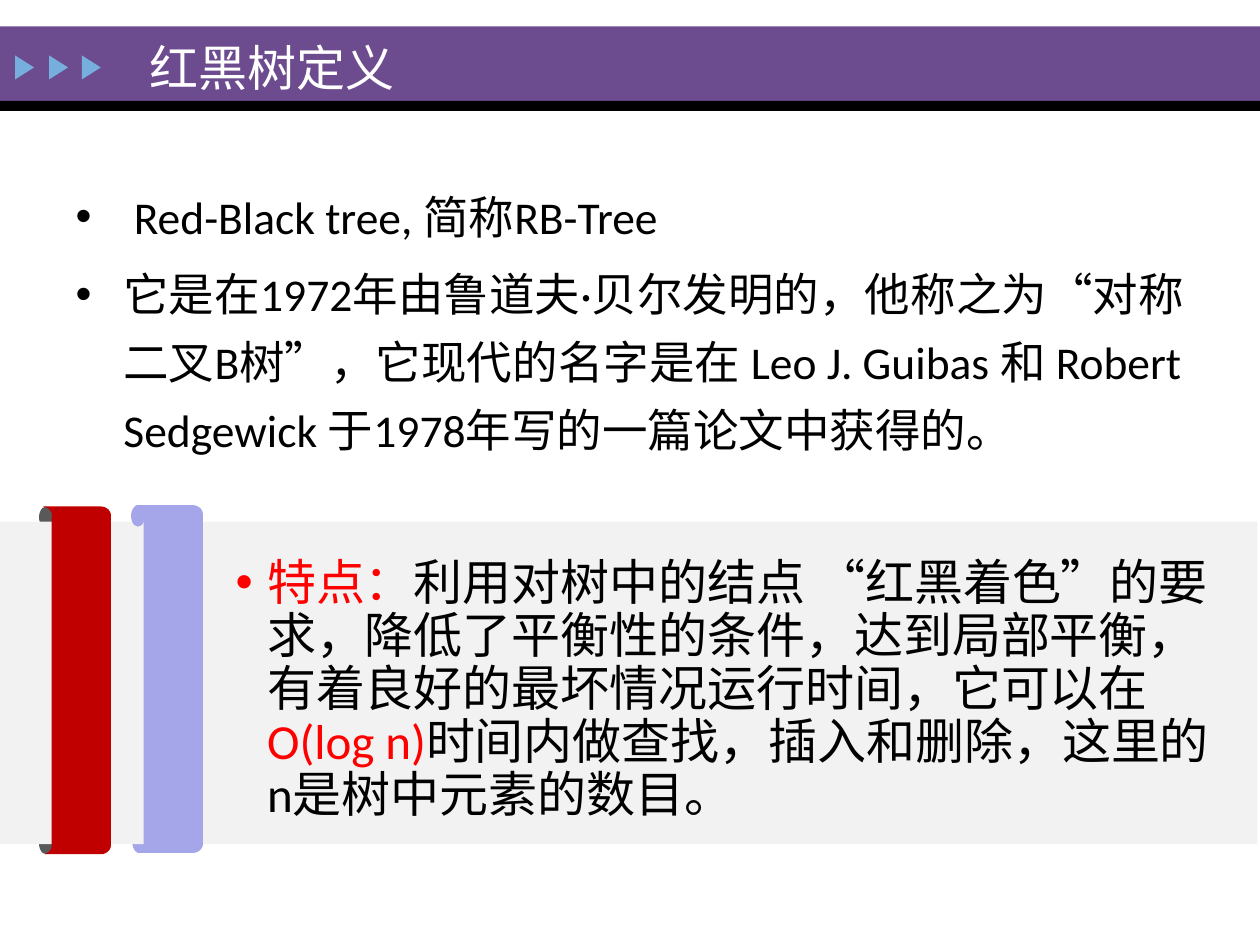
import pptx
import pptx.dml.color
import pptx.enum.shapes
import pptx.enum.text
import pptx.util
from dataclasses import dataclass

Inches = pptx.util.Inches
Pt = pptx.util.Pt
SHAPE = pptx.enum.shapes.MSO_SHAPE
TEXT = pptx.enum.text


@dataclass(frozen=True)
class Theme:
    purple: str = "6C4C8F"
    arrow_blue: str = "76AEDD"
    red: str = "C00000"
    lilac: str = "A5A5E9"
    curl_gray: str = "595959"
    panel: str = "F2F2F2"
    accent: str = "FF0000"
    black: str = "000000"
    white: str = "FFFFFF"
    heading_font: str = "Times New Roman"
    body_font: str = "Calibri"
    heading_size: int = 28
    history_size: int = 26
    feature_size: int = 28


THEME = Theme()
HISTORY = (
    " Red-Black tree, 简称RB-Tree",
    "它是在1972年由鲁道夫·贝尔发明的，他称之为“对称二叉B树”，它现代的名字是在 "
    "Leo J. Guibas 和 Robert Sedgewick 于1978年写的一篇论文中获得的。",
)
FEATURE = (
    ("特点：", THEME.accent),
    ("利用对树中的结点 “红黑着色”的要求，降低了平衡性的条件，达到局部平衡，"
     "有着良好的最坏情况运行时间，它可以在", THEME.black),
    ("O(log n)", THEME.accent),
    ("时间内做查找，插入和删除，这里的n是树中元素的数目。", THEME.black),
)
# Ribbon outline from its top-left corner: two points are a line, six a Bezier curve.
RIBBON_START = (0.07, 0.09)
RIBBON = (
    (0.09, 0, -0.03, 0, 0.01, 0), (0.46, 0),
    (0.5, 0, 0.54, 0.03, 0.54, 0.07), (0.54, 2.69),
    (0.54, 2.73, 0.5, 2.76, 0.46, 2.76), (0.03, 2.76),
    (-0.02, 2.76, 0.07, 2.76, 0.07, 2.69),
)
CURVE_STEPS = 12


def rgb(color):
    return pptx.dml.color.RGBColor.from_string(color)


def set_format(target, values):
    for name, value in values.items():
        setattr(target, name, value)


def paint(shape, color):
    shape.shadow.inherit = False
    shape.fill.solid()
    shape.fill.fore_color.rgb = rgb(color)
    shape.line.fill.background()


def add_block(slide, kind, box, color, rotation=0):
    block = slide.shapes.add_shape(kind, *map(Inches, box))
    block.rotation = rotation
    paint(block, color)


def ribbon_points():
    """Return the outline's points, with its curves sampled."""
    points = [RIBBON_START]
    for segment in RIBBON:
        if len(segment) == 2:
            points.append(segment)
            continue
        start = points[-1]
        for step in range(1, CURVE_STEPS + 1):
            t = step / CURVE_STEPS
            weights = ((1 - t) ** 3, 3 * t * (1 - t) ** 2, 3 * t * t * (1 - t), t ** 3)
            controls = start + segment
            points.append(tuple(
                sum(w * c for w, c in zip(weights, controls[axis::2])) for axis in (0, 1)))
    return points


def add_ribbon(slide, left, top, color):
    first, *rest = [(Inches(left + x), Inches(top + y)) for x, y in ribbon_points()]
    builder = slide.shapes.build_freeform(*first)
    builder.add_line_segments(rest, close=True)
    paint(builder.convert_to_shape(), color)


def add_curl(slide, left, top, color):
    add_block(slide, SHAPE.OVAL, (left, top, 0.11, 0.17), color)


def place_text(placeholder, box, anchor):
    """Move a placeholder to the front at the given box."""
    set_format(placeholder, dict(zip(("left", "top", "width", "height"), map(Inches, box))))
    set_format(placeholder.text_frame, {
        "word_wrap": True,
        "auto_size": TEXT.MSO_AUTO_SIZE.NONE,
        "vertical_anchor": anchor,
    })
    placeholder.element.getparent().append(placeholder.element)
    return placeholder.text_frame


def write_paragraph(paragraph, pieces, font, size, indent=0, **spacing):
    properties = paragraph._p.get_or_add_pPr()
    properties.set("marL", str(Inches(indent)))
    properties.set("indent", str(Inches(-indent)))
    set_format(paragraph, {"alignment": TEXT.PP_ALIGN.LEFT, "space_before": Pt(0), **spacing})
    for words, color in pieces:
        run = paragraph.add_run()
        run.text = words
        set_format(run.font, {"name": font, "size": Pt(size)})
        run.font.color.rgb = rgb(color)


def add_header(slide):
    add_block(slide, SHAPE.RECTANGLE, (0, 0.21, 10, 0.59), THEME.purple)
    add_block(slide, SHAPE.RECTANGLE, (0, 0.8, 10, 0.08), THEME.black)
    for left in (0.1, 0.37, 0.63):
        add_block(slide, SHAPE.ISOSCELES_TRIANGLE, (left, 0.46, 0.19, 0.15),
                  THEME.arrow_blue, rotation=90)
    frame = place_text(slide.shapes.title, (1.09, 0.22, 8.08, 0.62), TEXT.MSO_ANCHOR.MIDDLE)
    write_paragraph(frame.paragraphs[0], [("红黑树定义", THEME.white)],
                    THEME.heading_font, THEME.heading_size)


def add_history(slide):
    frame = place_text(slide.placeholders[1], (0.5, 1.34, 9.3, 2.41), TEXT.MSO_ANCHOR.TOP)
    for index, sentence in enumerate(HISTORY):
        paragraph = frame.add_paragraph() if index else frame.paragraphs[0]
        write_paragraph(paragraph, [(sentence, THEME.black)], THEME.body_font,
                        THEME.history_size, indent=0.38, line_spacing=1.25,
                        space_before=Pt(5.2 if index else 0))


def add_feature_panel(slide):
    add_curl(slide, 1.05, 6.6, THEME.lilac)
    for top in (6.61, 4.02):
        add_curl(slide, 0.31, top, THEME.curl_gray)
    add_block(slide, SHAPE.RECTANGLE, (-0.02, 4.14, 10, 2.56), THEME.panel)
    add_ribbon(slide, 0.34, 4.02, THEME.red)
    add_curl(slide, 1.04, 4.01, THEME.lilac)
    add_ribbon(slide, 1.07, 4.01, THEME.lilac)
    frame = place_text(slide.placeholders[2], (1.77, 4.38, 8.06, 2.22), TEXT.MSO_ANCHOR.TOP)
    write_paragraph(frame.paragraphs[0], FEATURE, THEME.body_font, THEME.feature_size,
                    indent=0.25, line_spacing=0.9)


def main():
    deck = pptx.Presentation()
    set_format(deck, {"slide_width": Inches(10), "slide_height": Inches(7.5)})
    two_content = deck.slide_layouts[3]
    slide = deck.slides.add_slide(two_content)
    add_header(slide)
    add_history(slide)
    add_feature_panel(slide)
    deck.save("out.pptx")


if __name__ == "__main__":
    main()
